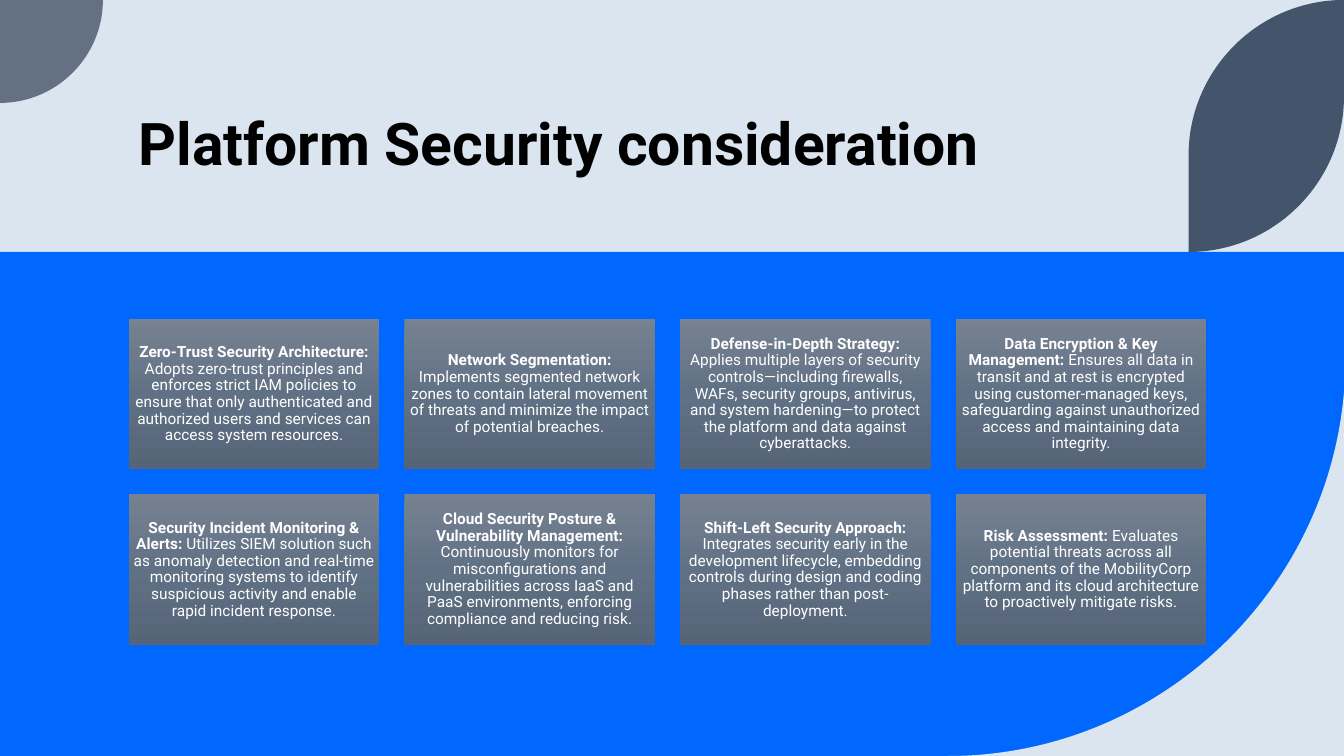
"""Build the platform security slide: a title band above a grid of eight measures."""
from copy import deepcopy
from dataclasses import dataclass

from lxml import etree
from pptx import Presentation
from pptx.dml.color import RGBColor
from pptx.enum.shapes import MSO_SHAPE
from pptx.enum.text import MSO_ANCHOR, PP_ALIGN
from pptx.oxml.ns import qn
from pptx.shapes.autoshape import Shape
from pptx.slide import Slide
from pptx.util import Pt

RECTANGLE = MSO_SHAPE.RECTANGLE
BOTTOM, MIDDLE = MSO_ANCHOR.BOTTOM, MSO_ANCHOR.MIDDLE
LEFT, CENTER = PP_ALIGN.LEFT, PP_ALIGN.CENTER

FONT = "Roboto"
PALE, BLUE, SLATE, NAVY = "DAE5EF", "0068FF", "637183", "44546A"
BLACK, WHITE = "000000", "FFFFFF"
TILE_GRADIENT = ("768291", "617185", "556477")

SLIDE_WIDTH, SLIDE_HEIGHT, BAND_HEIGHT = 960, 540, 180
GRID_LEFT, GRID_TOP, GRID_COLUMNS = 92, 227.8, 4
TILE_WIDTH, TILE_HEIGHT, TILE_GAP = 179, 107.4, 17.9
ARC_RATIO = 0.55

Point = tuple[float, float]
Segment = list[Point]


@dataclass
class Measure:
    heading: str
    detail: str


@dataclass
class Ornament:
    start: Point
    segments: list[Segment]
    color: str


MEASURES = [
    Measure("Zero-Trust Security Architecture: ",
            "Adopts zero-trust principles and enforces strict IAM policies to ensure that only "
            "authenticated and authorized users and services can access system resources."),
    Measure("Network Segmentation: ",
            "Implements segmented network zones to contain lateral movement of threats and "
            "minimize the impact of potential breaches."),
    Measure("Defense-in-Depth Strategy: ",
            "Applies multiple layers of security controls—including firewalls, WAFs, security "
            "groups, antivirus, and system hardening—to protect the platform and data against "
            "cyberattacks."),
    Measure("Data Encryption & Key Management: ",
            "Ensures all data in transit and at rest is encrypted using customer-managed keys, "
            "safeguarding against unauthorized access and maintaining data integrity."),
    Measure("Security Incident Monitoring & Alerts: ",
            "Utilizes SIEM solution such as anomaly detection and real-time monitoring systems "
            "to identify suspicious activity and enable rapid incident response."),
    Measure("Cloud Security Posture & Vulnerability Management: ",
            "Continuously monitors for misconfigurations and vulnerabilities across IaaS and "
            "PaaS environments, enforcing compliance and reducing risk."),
    Measure("Shift-Left Security Approach: ",
            "Integrates security early in the development lifecycle, embedding controls during "
            "design and coding phases rather than post-deployment."),
    Measure("Risk Assessment: ",
            "Evaluates potential threats across all components of the MobilityCorp platform and "
            "its cloud architecture to proactively mitigate risks."),
]


def rgb(color: str) -> RGBColor:
    """Turn a hex string into a colour."""
    return RGBColor.from_string(color)


def toward(point: Point, corner: Point) -> Point:
    """Return the control point of a quarter arc that leaves a point toward a corner."""
    return (point[0] + (corner[0] - point[0]) * ARC_RATIO,
            point[1] + (corner[1] - point[1]) * ARC_RATIO)


def arc(start: Point, corner: Point, end: Point) -> Segment:
    """Return the curve points that round off a corner."""
    return [toward(start, corner), toward(end, corner), end]


ORNAMENTS = [
    Ornament((961, 256), [arc((961, 256), (961, 540), (677, 540)), [(961, 540)]], PALE),
    Ornament((73.5, 0), [arc((73.5, 0), (73.5, 73.5), (0, 73.5)), [(0, 0)]], SLATE),
    Ornament((960, 0), [[(960, 69)], arc((960, 69), (960, 180), (849, 180)), [(849, 111)],
                        arc((849, 111), (849, 0), (960, 0))], NAVY),
]


def paint(shape: Shape, color: str) -> None:
    """Give a shape a flat fill without line or shadow."""
    shape.fill.solid()
    shape.fill.fore_color.rgb = rgb(color)
    shape.line.fill.background()
    shape.shadow.inherit = False


def paint_gradient(shape: Shape, colors: tuple[str, str, str]) -> None:
    """Fill a shape from top to bottom with three evenly spaced colours."""
    shape.fill.gradient()
    shape.fill.gradient_angle = 270
    first = shape._element.spPr.find(".//" + qn("a:gs"))
    first.addnext(deepcopy(first))
    for index, (stop, color) in enumerate(zip(shape.fill.gradient_stops, colors)):
        stop.position = index / 2
        stop.color.rgb = rgb(color)


def write(shape: Shape, bold_text: str, plain_text: str = "", *, size: float, color: str,
          align: PP_ALIGN, anchor: MSO_ANCHOR, line_spacing: float,
          space_after: float = 0, inset: float | None = None) -> None:
    """Write a bold text and an optional plain continuation into a shape."""
    frame = shape.text_frame
    frame.word_wrap = True
    frame.vertical_anchor = anchor
    if inset is not None:
        frame.margin_left = frame.margin_right = Pt(inset)
        frame.margin_top = frame.margin_bottom = Pt(inset)
    paragraph = frame.paragraphs[0]
    paragraph.alignment = align
    paragraph.line_spacing = line_spacing
    paragraph.space_after = Pt(space_after)
    for text, bold in ((bold_text, True), (plain_text, False)):
        if text:
            run = paragraph.add_run()
            run.text = text
            run.font.name = FONT
            run.font.size = Pt(size)
            run.font.bold = bold
            run.font.color.rgb = rgb(color)


def draw_ornament(slide: Slide, ornament: Ornament) -> None:
    """Draw an outline of straight lines and curves."""
    x, y = ornament.start
    builder = slide.shapes.build_freeform(Pt(x), Pt(y))
    for segment in ornament.segments:
        builder.add_line_segments([(Pt(x), Pt(y)) for x, y in segment], close=False)
    shape = builder.convert_to_shape()
    steps = iter(list(shape._element.spPr.iter(qn("a:lnTo"))))
    for segment in ornament.segments:
        lines = [next(steps) for _ in segment]
        if len(lines) == 3:
            curve = etree.Element(qn("a:cubicBezTo"))
            lines[0].addprevious(curve)
            for line in lines:
                curve.append(line[0])
                line.getparent().remove(line)
    paint(shape, ornament.color)


def draw_measure(slide: Slide, measure: Measure, index: int) -> None:
    """Draw one measure in its grid cell."""
    row, column = divmod(index, GRID_COLUMNS)
    left = GRID_LEFT + column * (TILE_WIDTH + TILE_GAP)
    top = GRID_TOP + row * (TILE_HEIGHT + TILE_GAP)
    tile = slide.shapes.add_shape(RECTANGLE, Pt(left), Pt(top), Pt(TILE_WIDTH), Pt(TILE_HEIGHT))
    paint(tile, SLATE)
    paint_gradient(tile, TILE_GRADIENT)
    write(tile, measure.heading, measure.detail, size=11, color=WHITE, align=CENTER,
          anchor=MIDDLE, line_spacing=0.9, space_after=3.85, inset=3.3)


def main() -> None:
    """Build and save the slide."""
    presentation = Presentation()
    presentation.slide_width, presentation.slide_height = Pt(SLIDE_WIDTH), Pt(SLIDE_HEIGHT)
    slide = presentation.slides.add_slide(presentation.slide_layouts[6])
    slide.background.fill.solid()
    slide.background.fill.fore_color.rgb = rgb(PALE)

    lower_panel = slide.shapes.add_shape(
        RECTANGLE, 0, Pt(BAND_HEIGHT), Pt(SLIDE_WIDTH), Pt(SLIDE_HEIGHT - BAND_HEIGHT))
    paint(lower_panel, BLUE)
    for ornament in ORNAMENTS:
        draw_ornament(slide, ornament)

    title = slide.shapes.add_textbox(Pt(GRID_LEFT), Pt(3.6), Pt(769.7), Pt(126))
    write(title, "Platform Security consideration", size=42, color=BLACK, align=LEFT,
          anchor=BOTTOM, line_spacing=0.8)
    for index, measure in enumerate(MEASURES):
        draw_measure(slide, measure, index)

    presentation.save("out.pptx")


if __name__ == "__main__":
    main()
